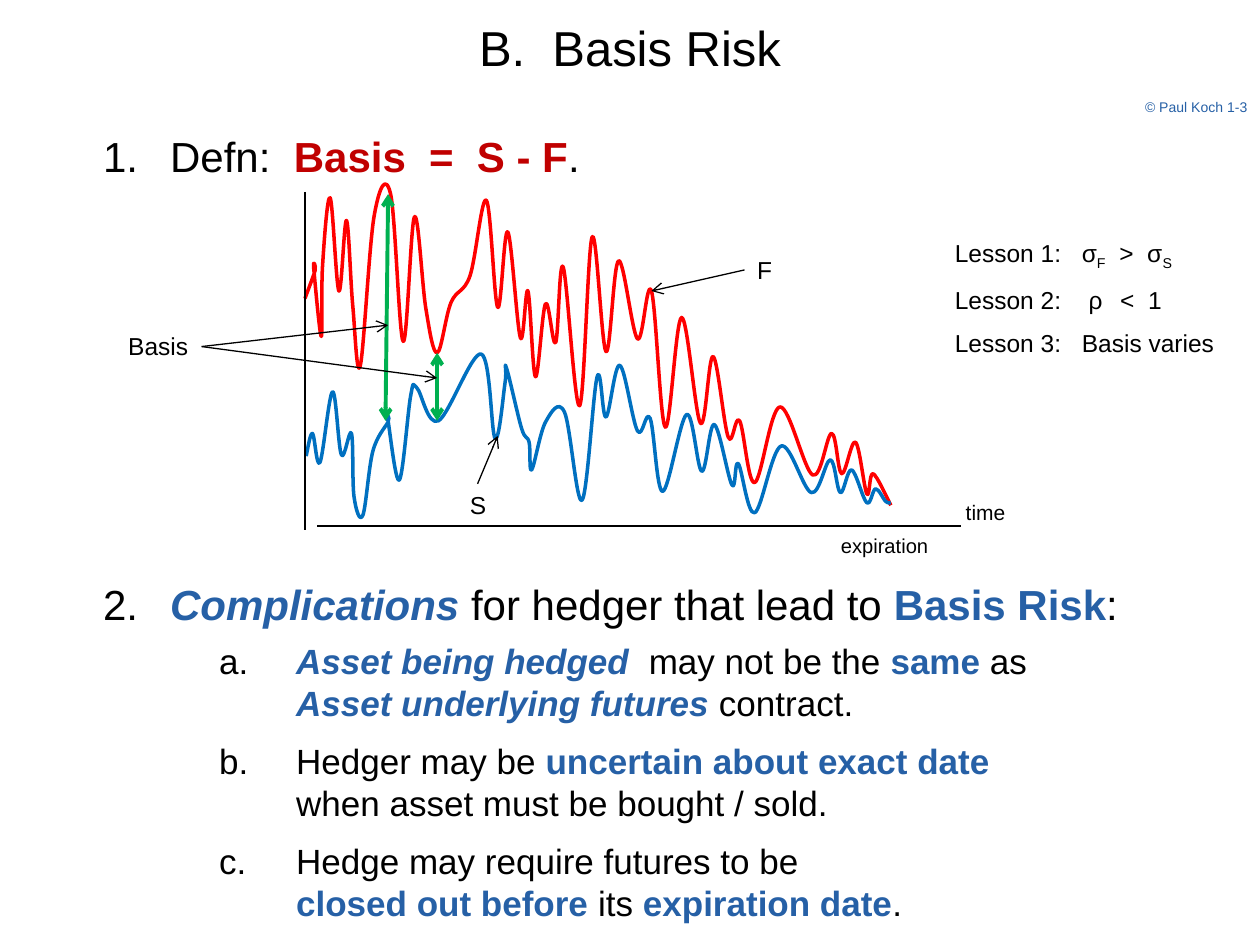
from dataclasses import dataclass
from typing import NamedTuple, Optional

from lxml.etree import SubElement
from pptx import Presentation
from pptx.dml.color import RGBColor
from pptx.enum.shapes import MSO_CONNECTOR
from pptx.enum.text import MSO_ANCHOR, MSO_AUTO_SIZE, PP_ALIGN
from pptx.oxml.ns import qn
from pptx.util import Pt

BLACK, BLUE, DARK_RED = "000000", "2660A6", "C00000"
GREEN, FUTURES_RED, SPOT_BLUE = "00B050", "FF0000", "0070C0"
GRID = 0.72  # points in one grid unit of the price curves

BOLD_BLUE = {"bold": True, "color": BLUE}
KEY_TERM = {**BOLD_BLUE, "italic": True}
BOLD_RED = {"bold": True, "color": DARK_RED}
SUBSCRIPT = {"baseline": -25000}
LINE_BREAK = "\v"


class Run(NamedTuple):
    text: str
    style: dict = {}


@dataclass
class ListItem:
    runs: list
    size: float
    number_left: float
    text_left: float
    line_height: float
    space_before: float


@dataclass
class Label:
    text: str
    left: float
    top: float
    width: float
    height: float
    size: float
    color: str = BLACK
    align: PP_ALIGN = PP_ALIGN.LEFT


@dataclass
class Segment:
    start: tuple
    end: tuple
    width: float
    color: str = BLACK
    head: bool = False
    tail: bool = False
    label: Optional[str] = None  # text of the label where the segment begins
    side: int = 0


def main_item(runs, space_before):
    return ListItem(runs, 24, 33.7, 72, 28, space_before)


def sub_item(runs, space_before=9):
    return ListItem(runs, 20, 100, 144, 24, space_before)


ITEMS = [
    main_item([Run("1.\tDefn:  "), Run("Basis  =  S - F", BOLD_RED), Run(".")], 0),
    main_item([Run("2.\t"), Run("Complications", KEY_TERM), Run(" for hedger that lead to "),
               Run("Basis Risk", BOLD_BLUE), Run(":")], 228),
    sub_item([Run("a.\t"), Run("Asset being hedged  ", KEY_TERM), Run("may not be the "),
              Run("same", BOLD_BLUE), Run(" as"), Run(LINE_BREAK),
              Run("Asset underlying futures ", KEY_TERM), Run("contract.")], 6),
    sub_item([Run("b.\tHedger may be "), Run("uncertain about exact date", BOLD_BLUE),
              Run(LINE_BREAK), Run("when asset must be bought / sold.")]),
    sub_item([Run("c.\tHedge may require futures to be"), Run(LINE_BREAK),
              Run("closed out before ", BOLD_BLUE), Run("its "),
              Run("expiration date", BOLD_BLUE), Run(".")]),
]
LESSONS = [
    [Run("Lesson 1:\tσ"), Run("F", SUBSCRIPT), Run("  >  σ"), Run("S", SUBSCRIPT)],
    [Run("Lesson 2:\t ρ  "), Run(" ", {"size": 8}), Run("<  1")],
    [Run("Lesson 3:\tBasis varies")],
]
LABELS = [
    Label("© Paul Koch 1-3", 552, 52.6, 168, 37.4, 8, BLUE, PP_ALIGN.RIGHT),
    Label("F", 425.5, 142, 23, 24.5, 14),
    Label("S", 261.4, 276.5, 23, 24.5, 14),
    Label("Basis", 66.2, 185.8, 49, 24.5, 14),
    Label("time", 544.8, 282, 50, 22, 12),
    Label("expiration", 473.4, 301.4, 75, 22, 11.5),
]
SEGMENTS = [
    Segment((174.3, 109.7), (174.3, 303), 1.25),
    Segment((181.4, 300.5), (549, 300.5), 1.25),
    Segment((221.8, 110.9), (220.3, 240.5), 2.25, GREEN, head=True, tail=True),
    Segment((249.8, 201.6), (249.8, 240.5), 2.25, GREEN, head=True, tail=True),
    Segment((425.5, 154.2), (372.2, 166.3), 0.75, tail=True, label="F", side=1),
    Segment((272.9, 276.5), (284.4, 249.1), 0.75, tail=True, label="S", side=0),
    Segment((115.2, 198), (221.8, 185.8), 0.75, tail=True, label="Basis", side=3),
    Segment((115.2, 198), (249.8, 216), 0.75, tail=True, label="Basis", side=3),
]
FUTURES_KNOTS = [
    (242, 237), (250, 215), (249, 213), (255, 267), (256, 211), (262, 157), (269, 231), (275, 175),
    (280, 243), (286, 290), (297, 171), (310, 154), (320, 271), (329, 172), (338, 245), (347, 280),
    (358, 240), (373, 219), (386, 159), (395, 244), (403, 184), (413, 268), (419, 231), (425, 299),
    (433, 241), (441, 272), (447, 212), (460, 322), (470, 188), (481, 279), (491, 207), (506, 269),
    (517, 231), (528, 339), (541, 252), (556, 336), (566, 283), (578, 347), (587, 334), (599, 383),
    (619, 323), (645, 377), (660, 344), (668, 376), (679, 351), (688, 392), (693, 376), (707, 401),
]
SPOT_KNOTS = [
    (243, 362), (248, 344), (254, 367), (264, 311), (271, 361), (279, 344), (281, 394), (288, 409),
    (296, 358), (308, 335), (308, 334), (317, 381), (326, 314), (331, 308), (348, 334), (382, 281),
    (393, 348), (401, 303), (402, 292), (414, 340), (420, 351), (422, 373), (433, 335), (448, 327),
    (462, 397), (474, 299), (481, 331), (492, 290), (506, 342), (516, 332), (526, 390), (545, 329),
    (557, 374), (567, 337), (581, 385), (586, 368), (599, 407), (620, 354), (644, 391), (659, 365),
    (667, 391), (676, 373), (688, 399), (695, 388), (703, 398), (707, 399),
]


def paint(color_format, hex_color: str) -> None:
    color_format.rgb = RGBColor.from_string(hex_color)


def write_runs(paragraph, runs: list, size: float, color: str = BLACK) -> None:
    for text, style in runs:
        if text == LINE_BREAK:
            paragraph.add_line_break()
            continue
        run = paragraph.add_run()
        run.text = text
        values = {"name": "Arial", "size": size, "bold": False, "italic": False,
                  "color": color, **style}
        paint(run.font.color, values.pop("color"))
        values["size"] = Pt(values["size"])
        if "baseline" in values:
            run.font._element.set("baseline", str(values.pop("baseline")))
        for name, value in values.items():
            setattr(run.font, name, value)


def place(shape, left: float, top: float, width: float, height: float) -> None:
    for name, value in zip(("left", "top", "width", "height"), (left, top, width, height)):
        setattr(shape, name, Pt(value))


def add_items(frame, items: list) -> None:
    for index, item in enumerate(items):
        paragraph = frame.add_paragraph() if index else frame.paragraphs[0]
        paragraph.line_spacing = Pt(item.line_height)
        paragraph.space_before = Pt(item.space_before)
        properties = paragraph._p.get_or_add_pPr()
        properties.set("marL", str(Pt(item.text_left)))
        properties.set("indent", str(Pt(item.number_left - item.text_left)))
        SubElement(properties, qn("a:buNone"))
        write_runs(paragraph, item.runs, item.size)


def add_text_box(slide, left: float, top: float, width: float, height: float):
    box = slide.shapes.add_textbox(Pt(left), Pt(top), Pt(width), Pt(height))
    box.text_frame.word_wrap = True
    return box


def add_label(slide, label: Label):
    box = add_text_box(slide, label.left, label.top, label.width, label.height)
    paragraph = box.text_frame.paragraphs[0]
    paragraph.alignment = label.align
    write_runs(paragraph, [Run(label.text)], label.size, label.color)
    return box


def add_segment(slide, segment: Segment, boxes: dict) -> None:
    ends = [Pt(value) for value in segment.start + segment.end]
    connector = slide.shapes.add_connector(MSO_CONNECTOR.STRAIGHT, *ends)
    if segment.label:
        connector.begin_connect(boxes[segment.label], segment.side)
    paint(connector.line.color, segment.color)
    connector.line.width = Pt(segment.width)
    line = connector.line._get_or_add_ln()
    for tag, wanted in (("a:headEnd", segment.head), ("a:tailEnd", segment.tail)):
        if wanted:
            SubElement(line, qn(tag), type="arrow")
    SubElement(connector._element.spPr, qn("a:effectLst"))


def add_curve(slide, knots: list, color: str) -> None:
    """Draw a Catmull-Rom curve through knots given in grid units."""
    points = [(Pt(x * GRID), Pt(y * GRID)) for x, y in knots]
    builder = slide.shapes.build_freeform(*points[0])
    builder.add_line_segments(points[1:], close=False)
    curve = builder.convert_to_shape()
    curve.shadow.inherit = False
    curve.fill.background()
    paint(curve.line.color, color)
    curve.line.width = Pt(2)

    local = [(int(point.get("x")), int(point.get("y"))) for point in curve._element.iter(qn("a:pt"))]
    padded = [local[0], *local, local[-1]]
    tangents = [[(after[axis] - before[axis]) / 6 for axis in (0, 1)]
                for before, after in zip(padded, padded[2:])]
    for index, straight in enumerate(list(curve._element.iter(qn("a:lnTo")))):
        start, end = local[index:index + 2]
        leave, arrive = tangents[index:index + 2]
        controls = [[p + t for p, t in zip(start, leave)], [p - t for p, t in zip(end, arrive)]]
        straight.tag = qn("a:cubicBezTo")
        for child in list(straight):
            straight.remove(child)
        for x, y in (*controls, end):
            SubElement(straight, qn("a:pt"), x=str(round(x)), y=str(round(y)))


def add_lessons(slide) -> None:
    frame = add_text_box(slide, 538.5, 126.8, 181, 82).text_frame
    for index, runs in enumerate(LESSONS):
        paragraph = frame.add_paragraph() if index else frame.paragraphs[0]
        paragraph.line_spacing = Pt(24.6)
        tabs = SubElement(paragraph._p.get_or_add_pPr(), qn("a:tabLst"))
        SubElement(tabs, qn("a:tab"), pos=str(Pt(72.6)), algn="l")
        write_runs(paragraph, runs, 14)


def main() -> None:
    presentation = Presentation()
    presentation.slide_width, presentation.slide_height = Pt(720), Pt(540)
    slide = presentation.slides.add_slide(presentation.slide_layouts[1])
    title, body = slide.placeholders
    place(title, 0, 0, 720, 54)
    place(body, 18, 72, 684, 462)
    for shape, anchor in ((title, MSO_ANCHOR.MIDDLE), (body, MSO_ANCHOR.TOP)):
        shape.text_frame.auto_size = MSO_AUTO_SIZE.NONE
        shape.text_frame.vertical_anchor = anchor
    heading = title.text_frame.paragraphs[0]
    heading.alignment = PP_ALIGN.CENTER
    write_runs(heading, [Run("B.  Basis Risk")], 28)
    add_items(body.text_frame, ITEMS)

    add_curve(slide, FUTURES_KNOTS, FUTURES_RED)
    add_curve(slide, SPOT_KNOTS, SPOT_BLUE)
    boxes = {label.text: add_label(slide, label) for label in LABELS}
    for segment in SEGMENTS:
        add_segment(slide, segment, boxes)
    add_lessons(slide)
    presentation.save("out.pptx")


if __name__ == "__main__":
    main()
